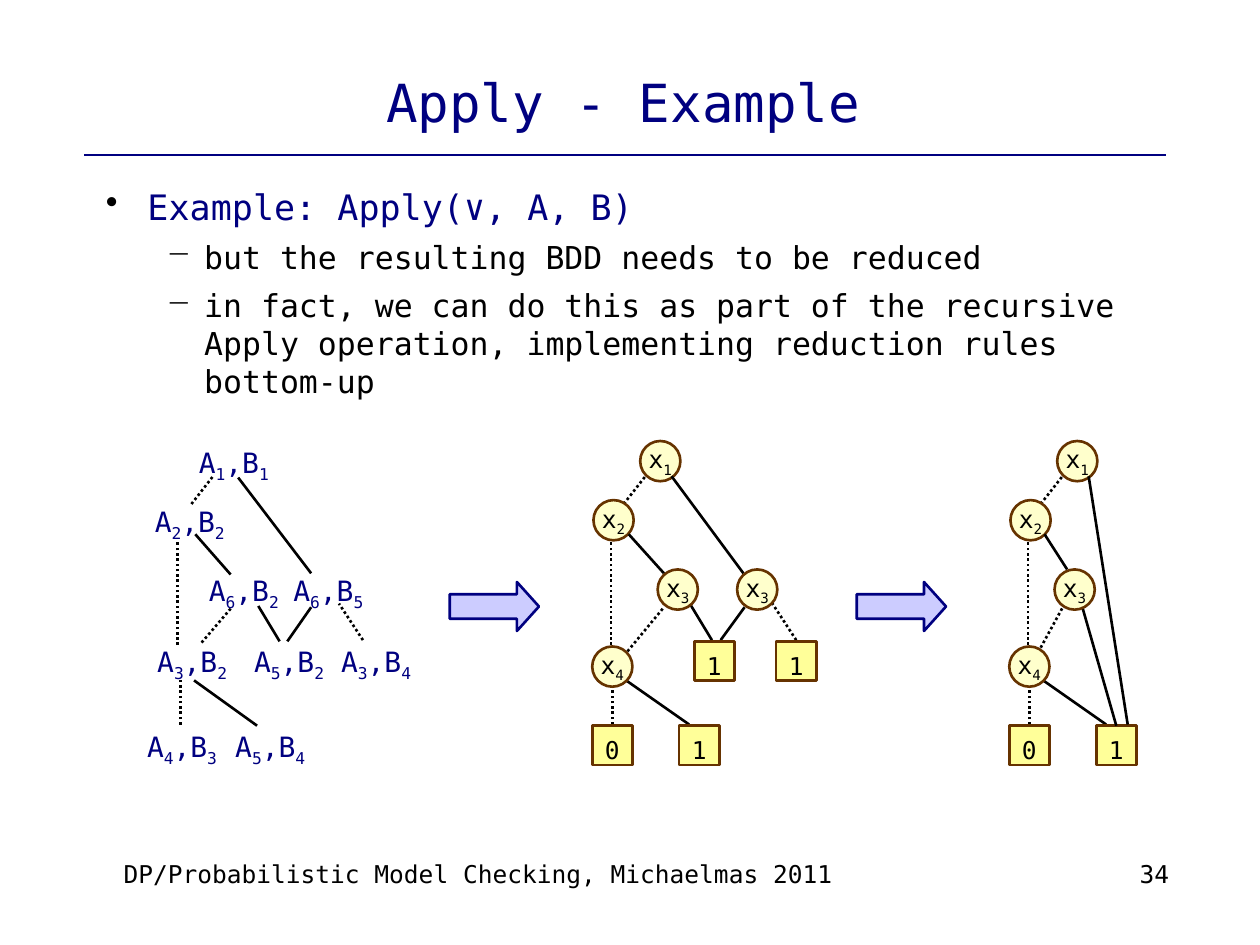
from itertools import groupby

from lxml import etree
from pptx import Presentation
from pptx import util as u
from pptx.dml.color import RGBColor
from pptx.enum import dml, shapes, text
from pptx.oxml.ns import qn

NAVY = RGBColor(0x00, 0x00, 0x80)
BLACK = RGBColor(0x00, 0x00, 0x00)
BROWN = RGBColor(0x66, 0x33, 0x00)
CREAM = RGBColor(0xFF, 0xFF, 0xCC)
YELLOW = RGBColor(0xFF, 0xFF, 0x99)
LAVENDER = RGBColor(0xCC, 0xCC, 0xFF)

SOLID, DOTTED = False, True
REDUCED_SHIFT = 238.3  # from the applied diagram to the reduced one

BULLETS = [
    (0, "Example: Apply(∨, A, B)"),
    (1, "but the resulting BDD needs to be reduced"),
    (1, "in fact, we can do this as part of the recursive Apply operation, "
        "implementing reduction rules bottom-up"),
]
# marL, indent, bullet, size, colour for each level
LEVELS = [(31.7, -23.8, "•", 20, NAVY), (64.1, -21.6, "−", 18, BLACK)]

# Edges: x1, y1, x2, y2, dotted
CALL_EDGES = [
    (136.1, 272.9, 177.8, 327.6, SOLID), (109.4, 288, 121.7, 272.2, DOTTED),
    (101.5, 368.6, 101.5, 308.9, DOTTED), (115.2, 367.2, 132.5, 347, DOTTED),
    (111.6, 305.3, 131.8, 328.3, SOLID), (147.6, 346.3, 159.8, 366.5, SOLID),
    (103, 414, 103, 388.8, DOTTED), (110.9, 388.8, 146.9, 414.7, SOLID),
    (177.8, 347, 164.2, 366.5, SOLID), (207.4, 365.8, 193.7, 344.9, DOTTED),
]
CALLS = [
    ("A1,B1", 99.4, 250.6), ("A2,B2", 74.2, 284.4),
    ("A6,B2", 105.1, 324), ("A6,B5", 153.4, 324),
    ("A3,B2", 75.6, 364.3), ("A5,B2", 131, 364.3), ("A3,B4", 180.7, 364.3),
    ("A4,B3", 69.8, 413.3), ("A5,B4", 120.2, 413.3),
]
SHARED_EDGES = [
    (356.4, 288, 369.4, 271.4, DOTTED), (349.2, 368.6, 349.2, 308.2, DOTTED),
    (349.9, 414, 349.9, 392.4, DOTTED), (357.8, 388.8, 393.8, 414, SOLID),
]
SHARED_NODES = [
    ("x1", 365.8, 252), ("x2", 339.1, 285.8), ("x4", 338.4, 369.4),
    ("0", 338.4, 414.7), ("1", 388.1, 414.7),
]
APPLIED_EDGES = [
    (383.8, 272.2, 424.8, 327.6, SOLID), (358.6, 372.2, 379.4, 347, DOTTED),
    (359.3, 305.3, 379.4, 327.6, SOLID), (394.6, 345.6, 406.8, 365.8, SOLID),
    (425.5, 347, 411.8, 365.8, SOLID), (455, 365.8, 441.4, 344.9, DOTTED),
]
APPLIED_NODES = [
    ("x3", 375.8, 325.4), ("x3", 421.2, 325.4),
    ("1", 396.7, 366.5), ("1", 443.5, 366.5),
]
REDUCED_EDGES = [
    (622.1, 272.2, 644.4, 414, SOLID), (594.7, 370.1, 607.7, 346.3, DOTTED),
    (596.9, 305.3, 609.8, 325.4, SOLID), (618.5, 347, 637.9, 414.7, SOLID),
]
REDUCED_NODES = [("x3", 602.6, 325.4)]


class SlideBuilder:
    """Draws styled elements on one slide; all lengths are points."""

    font = "DejaVu Sans Mono"
    line_width = 1.5

    def __init__(self, slide):
        self.slide = slide

    def format_frame(self, frame, anchor=text.MSO_ANCHOR.TOP, wrap=True):
        frame.auto_size = text.MSO_AUTO_SIZE.NONE
        frame.word_wrap = wrap
        frame.vertical_anchor = anchor
        frame.margin_left = frame.margin_right = 0
        frame.margin_top = frame.margin_bottom = 0

    def format_runs(self, paragraph, size, color):
        for run in paragraph.runs:
            run.font.name = self.font
            run.font.size = u.Pt(size)
            run.font.bold = False
            run.font.color.rgb = color

    def title(self, content, *box):
        shape = self.slide.shapes.title
        shape.left, shape.top, shape.width, shape.height = map(u.Pt, box)
        self.format_frame(shape.text_frame, text.MSO_ANCHOR.MIDDLE)
        shape.text_frame.text = content
        paragraph = shape.text_frame.paragraphs[0]
        paragraph.alignment = text.PP_ALIGN.CENTER
        paragraph.line_spacing = 1.04
        self.format_runs(paragraph, 30, NAVY)

    def textbox(self, *box):
        frame = self.slide.shapes.add_textbox(*map(u.Pt, box)).text_frame
        self.format_frame(frame)
        return frame

    def footer(self, content, alignment, *box):
        frame = self.textbox(*box)
        frame.text = content
        frame.paragraphs[0].alignment = alignment
        frame.paragraphs[0].line_spacing = 0.96
        self.format_runs(frame.paragraphs[0], 14, BLACK)

    def bullets(self, items, *box):
        frame = self.textbox(*box)
        for index, (level, content) in enumerate(items):
            paragraph = frame.add_paragraph() if index else frame.paragraphs[0]
            margin, indent, bullet, size, color = LEVELS[level]
            paragraph.text = content
            paragraph.level = level
            if index:
                paragraph.space_before = u.Pt(6)
            properties = paragraph._p.get_or_add_pPr()
            properties.set("marL", str(u.Pt(margin)))
            properties.set("indent", str(u.Pt(indent)))
            bullet_color = etree.SubElement(properties, qn("a:buClr"))
            etree.SubElement(bullet_color, qn("a:srgbClr")).set("val", str(BLACK))
            etree.SubElement(properties, qn("a:buChar")).set("char", bullet)
            self.format_runs(paragraph, size, color)

    def symbol(self, frame, content, size, color):
        """Writes a centred symbol whose digits after letters are subscripts."""
        paragraph = frame.paragraphs[0]
        paragraph.alignment = text.PP_ALIGN.CENTER
        for is_digit, characters in groupby(content, str.isdigit):
            run = paragraph.add_run()
            run.text = "".join(characters)
            if is_digit and not content.isdigit():
                run._r.get_or_add_rPr().set("baseline", "-25000")
        self.format_runs(paragraph, size, color)

    def call(self, content, left, top):
        frame = self.textbox(left, top, 68.4, 29.5)
        frame.vertical_anchor = text.MSO_ANCHOR.MIDDLE
        self.symbol(frame, content, 16, NAVY)

    def shape(self, kind, fill, line, *box):
        shape = self.slide.shapes.add_shape(kind, *map(u.Pt, box))
        shape.shadow.inherit = False
        shape.fill.solid()
        shape.fill.fore_color.rgb = fill
        shape.line.color.rgb = line
        shape.line.width = u.Pt(self.line_width)
        return shape

    def node(self, content, left, top):
        """Draws a square for a terminal value and a circle for a variable."""
        terminal = content.isdigit()
        if terminal:
            shape = self.shape(shapes.MSO_SHAPE.RECTANGLE, YELLOW, BROWN, left, top, 23, 22.5)
        else:
            shape = self.shape(shapes.MSO_SHAPE.OVAL, CREAM, BROWN, left, top, 23, 23)
        self.format_frame(shape.text_frame, text.MSO_ANCHOR.MIDDLE, wrap=False)
        shape.text_frame.margin_top = u.Pt(5 if terminal else 0)
        self.symbol(shape.text_frame, content, 14, BLACK)

    def arrow(self, left, top):
        shape = self.shape(shapes.MSO_SHAPE.RIGHT_ARROW, LAVENDER, NAVY, left, top, 51, 28)
        shape.adjustments[1] = 0.45

    def line(self, x1, y1, x2, y2, dotted=SOLID, color=BLACK):
        connector = self.slide.shapes.add_connector(
            shapes.MSO_CONNECTOR.STRAIGHT, *map(u.Pt, (x1, y1, x2, y2)))
        connector.line.color.rgb = color
        connector.line.width = u.Pt(self.line_width)
        if dotted:
            connector.line.dash_style = dml.MSO_LINE.ROUND_DOT
        etree.SubElement(connector._element.spPr, qn("a:effectLst"))

    def diagram(self, edges, nodes, shift=0):
        for x1, y1, x2, y2, dotted in edges:
            self.line(x1 + shift, y1, x2 + shift, y2, dotted)
        for content, left, top in nodes:
            self.node(content, left + shift, top)


def main():
    presentation = Presentation()
    presentation.slide_width, presentation.slide_height = u.Pt(720), u.Pt(540)
    builder = SlideBuilder(presentation.slides.add_slide(presentation.slide_layouts[5]))

    builder.line(48.2, 88.6, 666, 88.6, color=NAVY)
    builder.title("Apply - Example", 49, 26.6, 614.2, 62)
    builder.bullets(BULLETS, 52.6, 105.8, 614.2, 374.4)
    builder.footer("DP/Probabilistic Model Checking, Michaelmas 2011",
                   text.PP_ALIGN.LEFT, 70.6, 491.8, 419.8, 37.4)
    builder.footer("34", text.PP_ALIGN.RIGHT, 552.2, 491.8, 116, 37.4)

    builder.diagram(CALL_EDGES, [])
    for call in CALLS:
        builder.call(*call)
    builder.diagram(SHARED_EDGES, SHARED_NODES)
    builder.diagram(APPLIED_EDGES, APPLIED_NODES)
    builder.diagram(SHARED_EDGES, SHARED_NODES, REDUCED_SHIFT)
    builder.diagram(REDUCED_EDGES, REDUCED_NODES)
    for left in (257, 489.6):
        builder.arrow(left, 332.6)

    presentation.save("out.pptx")


if __name__ == "__main__":
    main()
